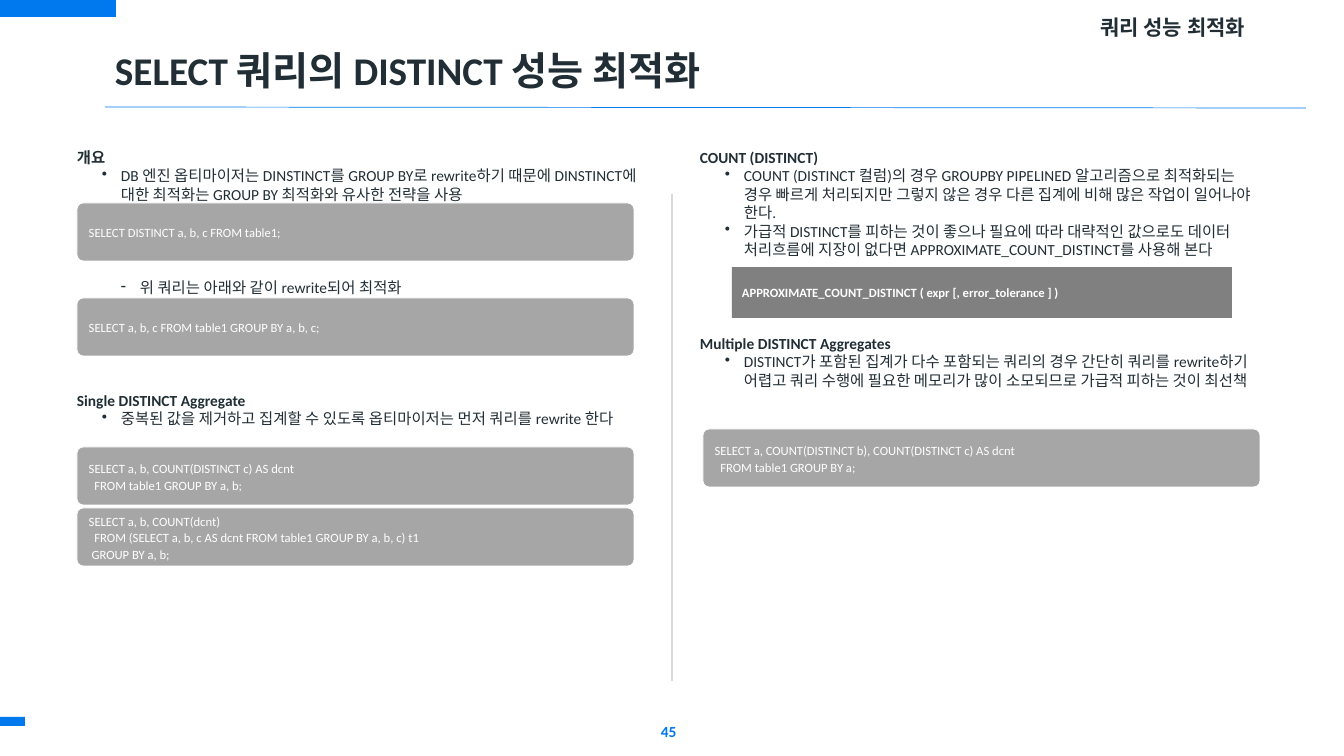
import pptx
import pptx.dml.color
import pptx.enum.shapes
import pptx.enum.text
import pptx.oxml.ns
import pptx.util
from lxml import etree

SHAPE = pptx.enum.shapes.MSO_SHAPE
ALIGN = pptx.enum.text.PP_ALIGN
ANCHOR = pptx.enum.text.MSO_ANCHOR

TITLE = "SELECT 쿼리의 DISTINCT 성능 최적화"
CHAPTER = "쿼리 성능 최적화"
PAGE_NUMBER = "45"

COLUMNS = [
    (67, [
        ("heading", 0, "개요"),
        ("bullet", 0, "DB 엔진 옵티마이저는 DINSTINCT를 GROUP BY로 rewrite하기 때문에 DINSTINCT에 대한 최적화는 GROUP BY 최적화와 유사한 전략을 사용"),
        ("dash", 4, "위 쿼리는 아래와 같이 rewrite되어 최적화"),
        ("heading", 5, "Single DISTINCT Aggregate"),
        ("bullet", 0, "중복된 값을 제거하고 집계할 수 있도록 옵티마이저는 먼저 쿼리를 rewrite 한다"),
    ]),
    (690, [
        ("heading", 0, "COUNT (DISTINCT)"),
        ("bullet", 0, "COUNT (DISTINCT 컬럼)의 경우 GROUPBY PIPELINED 알고리즘으로 최적화되는 경우 빠르게 처리되지만 그렇지 않은 경우 다른 집계에 비해 많은 작업이 일어나야 한다."),
        ("bullet", 0, "가급적 DISTINCT를 피하는 것이 좋으나 필요에 따라 대략적인 값으로도 데이터 처리흐름에 지장이 없다면 APPROXIMATE_COUNT_DISTINCT를 사용해 본다"),
        ("heading", 4, "Multiple DISTINCT Aggregates"),
        ("bullet", 0, "DISTINCT가 포함된 집계가 다수 포함되는 쿼리의 경우 간단히 쿼리를 rewrite하기 어렵고 쿼리 수행에 필요한 메모리가 많이 소모되므로 가급적 피하는 것이 최선책"),
    ]),
]

QUERIES = [
    (77, 203, ["SELECT DISTINCT a, b, c FROM table1;"]),
    (77, 298, ["SELECT a, b, c FROM table1 GROUP BY a, b, c;"]),
    (77, 447, ["SELECT a, b, COUNT(DISTINCT c) AS dcnt",
               "  FROM table1 GROUP BY a, b;"]),
    (77, 508, ["SELECT a, b, COUNT(dcnt)",
               "  FROM (SELECT a, b, c AS dcnt FROM table1 GROUP BY a, b, c) t1",
               " GROUP BY a, b;"]),
    (703, 429, ["SELECT a, COUNT(DISTINCT b), COUNT(DISTINCT c) AS dcnt",
                "  FROM table1 GROUP BY a;"]),
]
SYNTAX = "APPROXIMATE_COUNT_DISTINCT ( expr [, error_tolerance ] )"

THEME = {
    "font": "Calibri",
    "ink": "212E35", "accent": "0079EF", "white": "FFFFFF",
    "query": "A6A6A6", "syntax": "808080", "divider": "D9D9D9",
    "title": 28, "chapter": 15, "body": 11, "code": 9,
}
BODY_LINE = 13.4
LEVELS = {"heading": None, "bullet": (1, 44, "•"), "dash": (2, 63, "-")}
HANG = 19


def px(length):
    return round(length * 914400 / 100.8)


def color(name):
    return pptx.dml.color.RGBColor.from_string(THEME[name])


def apply(target, values):
    for name, value in values.items():
        setattr(target, name, value)


def write(para, text, size, ink, bold=False, **layout):
    apply(para, layout)
    span = para.add_run()
    span.text = text
    apply(span.font, {"name": THEME["font"], "size": pptx.util.Pt(THEME[size]), "bold": bold})
    span.font.color.rgb = color(ink)


def next_para(frame, index):
    return frame.add_paragraph() if index else frame.paragraphs[0]


def add_text(page, place, anchor=ANCHOR.TOP):
    box = page.shapes.add_textbox(*map(px, place))
    apply(box.text_frame, {"word_wrap": True, "vertical_anchor": anchor})
    return box.text_frame


def add_block(page, kind, place, fill, outline=None):
    block = page.shapes.add_shape(kind, *map(px, place))
    block.shadow.inherit = False
    block.fill.solid()
    block.fill.fore_color.rgb = color(fill)
    if outline:
        block.line.color.rgb = color(outline)
        block.line.width = pptx.util.Pt(0.5)
    else:
        block.line.fill.background()
    apply(block.text_frame, {"word_wrap": True, "vertical_anchor": ANCHOR.MIDDLE})
    return block


def add_rule(page, ends, ink, width):
    rule = page.shapes.add_connector(pptx.enum.shapes.MSO_CONNECTOR.STRAIGHT, *map(px, ends))
    rule.line.color.rgb = color(ink)
    rule.line.width = pptx.util.Pt(width)
    etree.SubElement(rule._element.spPr, pptx.oxml.ns.qn("a:effectLst"))


def set_bullet(para, level, indent, mark):
    para.level = level
    properties = para._p.get_or_add_pPr()
    properties.set("marL", str(px(indent)))
    properties.set("indent", str(-px(HANG)))
    etree.SubElement(properties, pptx.oxml.ns.qn("a:buChar")).set("char", mark)


def add_column(page, left, items):
    frame = add_text(page, (left, 143, 586, 552))
    for index, (kind, gap, text) in enumerate(items):
        para = next_para(frame, index)
        if LEVELS[kind]:
            set_bullet(para, *LEVELS[kind])
        layout = {"space_before": pptx.util.Pt(gap * BODY_LINE)} if gap else {}
        write(para, text, "body", "ink", kind == "heading", **layout)


def add_query(page, left, top, lines):
    block = add_block(page, SHAPE.ROUNDED_RECTANGLE, (left, top, 557, 58), "query", "white")
    block.adjustments[0] = 0.11
    for index, line in enumerate(lines):
        write(next_para(block.text_frame, index), line, "code", "white",
              alignment=ALIGN.LEFT, line_spacing=pptx.util.Pt(12))


def main():
    deck = pptx.Presentation()
    apply(deck, {"slide_width": px(1344), "slide_height": px(756)})
    page = deck.slides.add_slide(deck.slide_layouts[6])

    for place in [(0, 0, 116, 17), (0, 717, 25, 9)]:
        add_block(page, SHAPE.RECTANGLE, place, "accent")
    add_rule(page, (105, 107, 1306, 108), "accent", 0.5)

    title = add_text(page, (105, 47, 1137, 119))
    write(title.paragraphs[0], TITLE, "title", "ink", True, line_spacing=0.9)
    number = add_text(page, (651, 711, 40, 40), ANCHOR.MIDDLE)
    write(number.paragraphs[0], PAGE_NUMBER, "body", "accent", True)
    chapter = add_text(page, (858, 11, 397, 35), ANCHOR.MIDDLE)
    write(chapter.paragraphs[0], CHAPTER, "chapter", "ink", True,
          alignment=ALIGN.RIGHT, line_spacing=0.9)

    for column in COLUMNS:
        add_column(page, *column)
    add_rule(page, (672, 194, 672, 681), "divider", 1.5)
    for query in QUERIES:
        add_query(page, *query)
    syntax = add_block(page, SHAPE.RECTANGLE, (732, 267, 500, 51), "syntax")
    write(syntax.text_frame.paragraphs[0], SYNTAX, "code", "white", True, alignment=ALIGN.LEFT)

    deck.save("out.pptx")


if __name__ == "__main__":
    main()
